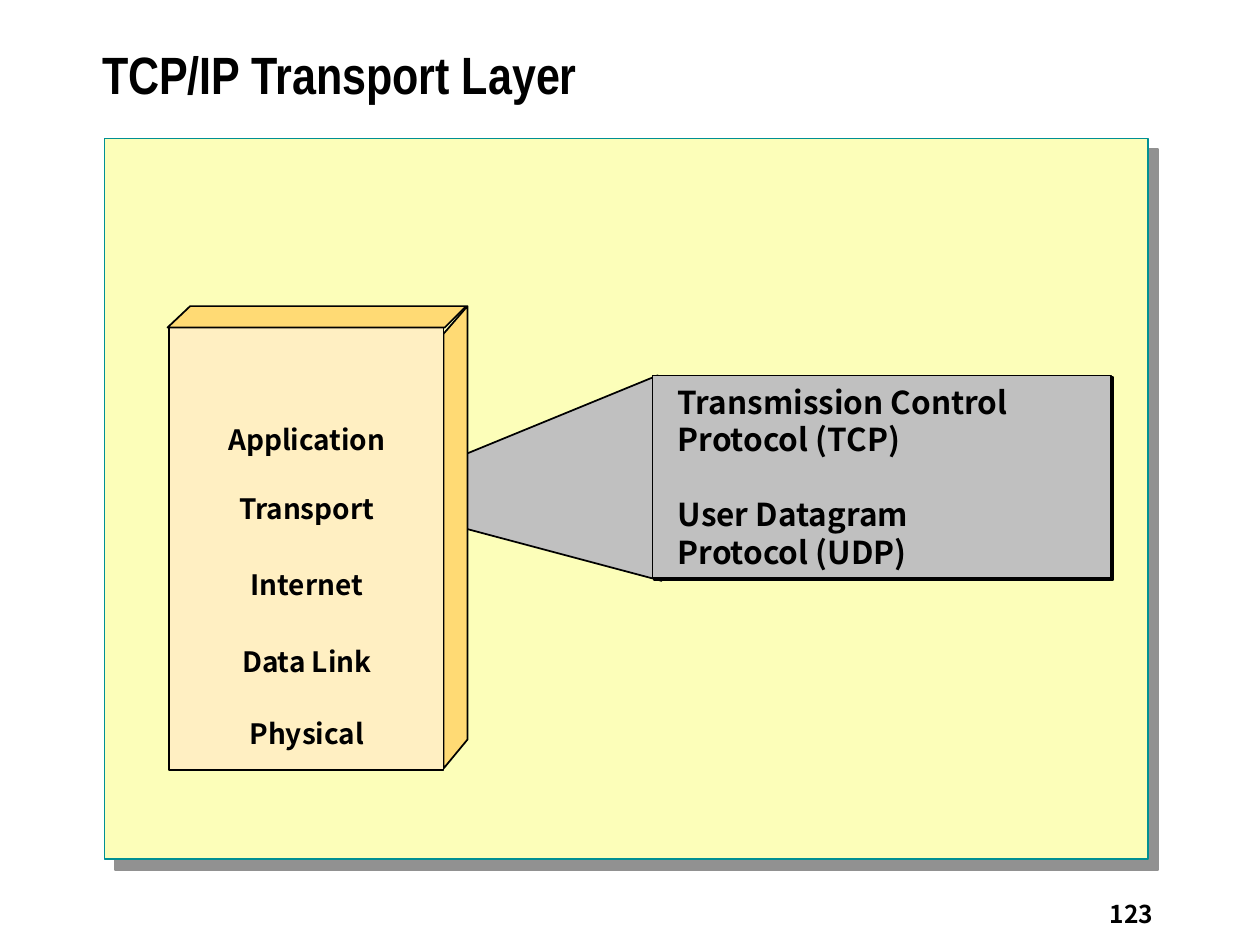
from dataclasses import dataclass
from typing import NamedTuple

from lxml.etree import SubElement
from pptx import Presentation
from pptx.dml.color import RGBColor
from pptx.enum.shapes import MSO_SHAPE as Shape
from pptx.enum.text import MSO_ANCHOR as Anchor, MSO_AUTO_SIZE as AutoSize, PP_ALIGN as Align
from pptx.oxml.ns import qn
from pptx.util import Inches, Pt


@dataclass(frozen=True)
class Theme:
    black: str = "000000"
    panel: str = "FCFEB9"
    panel_line: str = "009094"
    panel_shadow: str = "919191"
    grey: str = "C0C0C0"
    front: str = "FFEFC2"
    edge: str = "FFDA74"
    title_font: str = "Arial Narrow"
    body_font: str = "Noto Sans CJK KR"
    title_size: float = 30
    callout_size: float = 18
    label_size: float = 16
    number_size: float = 14
    callout_leading: float = 21.4


class Box(NamedTuple):
    left: float
    top: float
    width: float
    height: float


class Layer(NamedTuple):
    name: str
    middle: float


class Outline(NamedTuple):
    points: list[tuple[float, float]]
    fill: str


THEME = Theme()
PANEL = Box(0.83, 1.1, 8.28, 5.72)
TITLE = Box(0.71, 0.17, 8.96, 0.92)
NUMBER = Box(7.17, 6.92, 2.08, 0.5)
CALLOUT = Box(5.18, 2.98, 3.64, 1.61)
STACK = Box(1.34, 2.6, 2.18, 3.51)
LABEL_LEFT, LABEL_WIDTH, LABEL_HEIGHT = 1.72, 1.43, 0.35

LAYERS = [
    Layer("Application", 3.5),
    Layer("Transport", 4.05),
    Layer("Internet", 4.65),
    Layer("Data Link", 5.26),
    Layer("Physical", 5.83),
]
PROTOCOLS = [
    ["Transmission Control", "Protocol (TCP)"],
    ["User Datagram", "Protocol (UDP)"],
]

BEAM = Outline([(3.39, 3.73), (5.22, 2.98), (5.25, 4.61), (3.71, 4.2)], THEME.grey)
STACK_SIDE = Outline([(3.71, 2.43), (3.52, 2.65), (3.52, 6.1), (3.71, 5.87)], THEME.edge)
STACK_TOP = Outline([(1.33, 2.6), (1.51, 2.43), (3.7, 2.43), (3.53, 2.6)], THEME.edge)


def inches(box: Box) -> list[Inches]:
    return [Inches(v) for v in box]


def paint(sp, fill: str, line: str = THEME.black) -> None:
    sp.shadow.inherit = False
    sp.fill.solid()
    sp.fill.fore_color.rgb = RGBColor.from_string(fill)
    sp.line.color.rgb = RGBColor.from_string(line)
    sp.line.width = Pt(1)


def add_shadow(sp, color: str, distance: float) -> None:
    """Cast a hard shadow down and to the right."""
    effects = sp._element.spPr.find(qn("a:effectLst"))
    shadow = SubElement(effects, qn("a:outerShdw"), dist=str(Pt(distance)),
                        dir="2700000", algn="ctr", rotWithShape="0")
    SubElement(shadow, qn("a:srgbClr"), val=color)


def add_rect(s, box: Box, fill: str, line: str = THEME.black):
    sp = s.shapes.add_shape(Shape.RECTANGLE, *inches(box))
    paint(sp, fill, line)
    return sp


def add_outline(s, outline: Outline) -> None:
    start, *rest = [(Inches(x), Inches(y)) for x, y in outline.points]
    builder = s.shapes.build_freeform(*start)
    builder.add_line_segments(rest, close=True)
    paint(builder.convert_to_shape(), outline.fill)


def setup_frame(sp, *, anchor=Anchor.MIDDLE, inset=(0.2, 0.1), wrap: bool = True):
    tf = sp.text_frame
    tf.word_wrap = wrap
    tf.auto_size = AutoSize.NONE
    tf.vertical_anchor = anchor
    tf.margin_left = tf.margin_right = Inches(inset[0])
    tf.margin_top = tf.margin_bottom = Inches(inset[1])
    return tf


def write(p, text: str, *, size: float, font: str = THEME.body_font,
          align=Align.LEFT, leading=None, before=None) -> None:
    p.alignment = align
    p.line_spacing = leading
    p.space_before = before
    r = p.add_run()
    r.text = text
    r.font.size = Pt(size)
    r.font.name = font
    r.font.bold = True
    r.font.color.rgb = RGBColor.from_string(THEME.black)


def add_title(s, text: str) -> None:
    sp = s.shapes.title
    sp.left, sp.top, sp.width, sp.height = inches(TITLE)
    tf = setup_frame(sp, inset=(0.1, 0.05))
    write(tf.paragraphs[0], text, size=THEME.title_size, font=THEME.title_font, leading=0.8)


def add_callout(s) -> None:
    sp = add_rect(s, CALLOUT, THEME.grey)
    add_shadow(sp, THEME.black, 1.4)
    tf = setup_frame(sp)
    leading = Pt(THEME.callout_leading)
    for i, lines in enumerate(PROTOCOLS):
        for j, line in enumerate(lines):
            p = tf.add_paragraph() if i or j else tf.paragraphs[0]
            # One line of space sets the protocols apart
            write(p, line, size=THEME.callout_size, leading=leading,
                  before=leading if i and not j else None)


def add_layer(s, layer: Layer) -> None:
    box = Box(LABEL_LEFT, layer.middle - LABEL_HEIGHT / 2, LABEL_WIDTH, LABEL_HEIGHT)
    tf = setup_frame(s.shapes.add_textbox(*inches(box)), wrap=False)
    write(tf.paragraphs[0], layer.name, size=THEME.label_size, align=Align.CENTER, leading=0.95)


def main() -> None:
    prs = Presentation()
    prs.slide_width, prs.slide_height = Inches(10), Inches(7.5)
    s = prs.slides.add_slide(prs.slide_layouts[5])

    # Background panel, page number and title
    panel = add_rect(s, PANEL, THEME.panel, THEME.panel_line)
    add_shadow(panel, THEME.panel_shadow, 8.5)
    tf = setup_frame(s.shapes.add_textbox(*inches(NUMBER)),
                     anchor=Anchor.BOTTOM, inset=(0.1, 0.05))
    write(tf.paragraphs[0], "123", size=THEME.number_size, align=Align.RIGHT)
    add_title(s, "TCP/IP Transport Layer")

    # Beam from the transport layer to its protocols
    add_outline(s, BEAM)
    add_callout(s)

    # Layer stack drawn as a box with depth
    add_outline(s, STACK_SIDE)
    add_rect(s, STACK, THEME.front)
    for layer in LAYERS:
        add_layer(s, layer)
    add_outline(s, STACK_TOP)

    prs.save("out.pptx")


if __name__ == "__main__":
    main()
